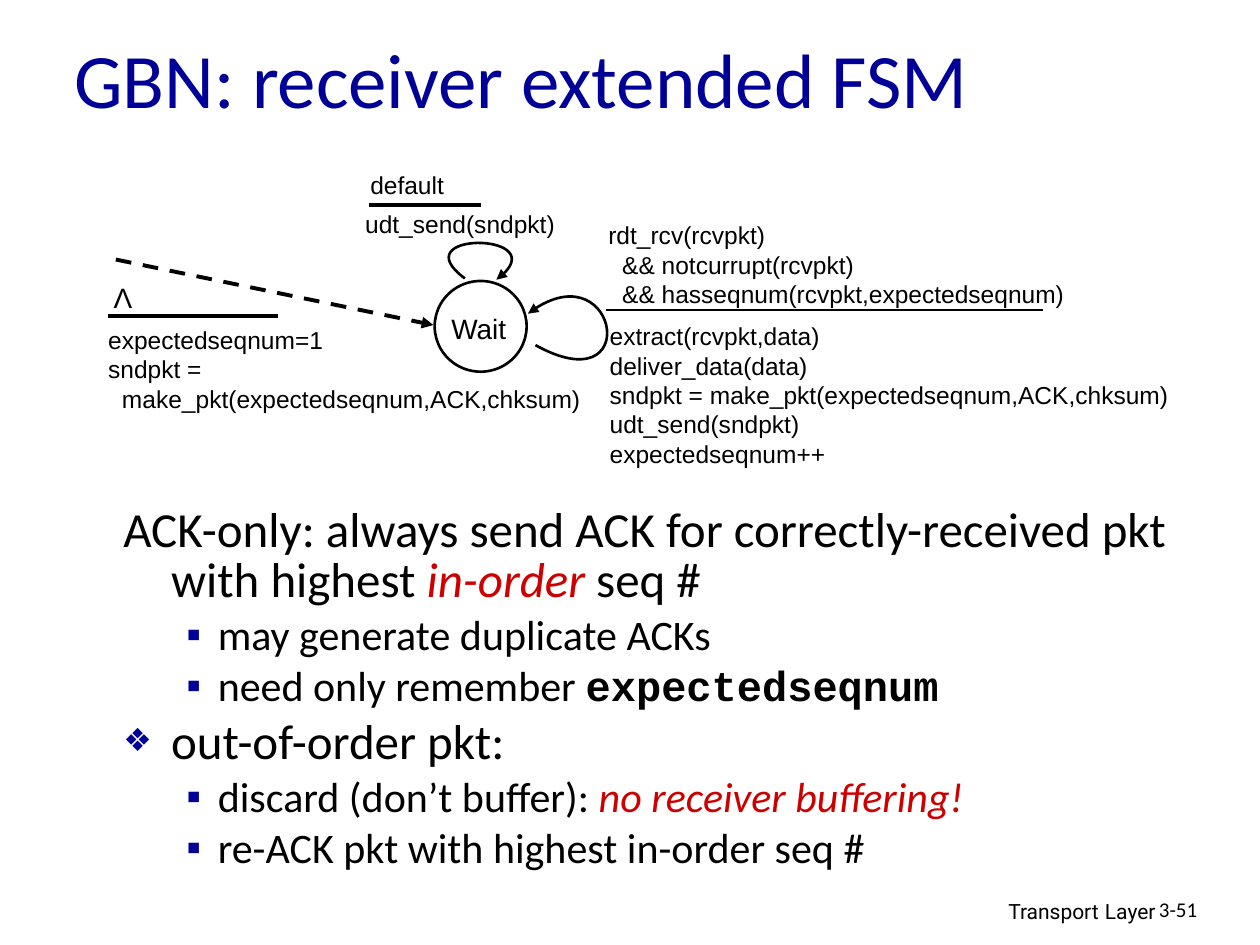
from lxml import etree
from pptx import Presentation
from pptx.dml.color import RGBColor
from pptx.enum.dml import MSO_LINE
from pptx.enum.shapes import MSO_CONNECTOR, MSO_SHAPE
from pptx.enum.text import MSO_ANCHOR, PP_ALIGN
from pptx.oxml.ns import qn
from pptx.util import Inches, Pt

COLORS = {"ink": "000000", "heading": "000099", "emphasis": "CC0000", "paper": "FFFFFF"}
BODY_FONT, CODE_FONT, LABEL_FONT, FOOTER_FONT = "Calibri", "Courier New", "Arial", "Roboto"
EMPHASIS = {"color": "emphasis", "italic": True}


def rgb(name):
    return RGBColor.from_string(COLORS[name])


def add_run(paragraph, text, size=14, font=LABEL_FONT, color="ink", bold=False, italic=False):
    run = paragraph.add_run()
    run.text = text
    run.font.size, run.font.name = Pt(size), font
    run.font.bold, run.font.italic = bold, italic
    run.font.color.rgb = rgb(color)


def add_text(slide, box, paragraphs, align=PP_ALIGN.LEFT, anchor=MSO_ANCHOR.TOP,
             wrap=True, spacing=None, **run_format):
    """Each paragraph is a list of (text, format overrides) runs; returns the paragraphs."""
    frame = slide.shapes.add_textbox(*map(Inches, box)).text_frame
    frame.word_wrap, frame.vertical_anchor = wrap, anchor
    for index, runs in enumerate(paragraphs):
        paragraph = frame.add_paragraph() if index else frame.paragraphs[0]
        paragraph.alignment, paragraph.line_spacing = align, spacing
        for text, overrides in runs:
            add_run(paragraph, text, **{**run_format, **overrides})
    return frame.paragraphs


def set_indent(paragraph, margin, hanging=0):
    properties = paragraph._p.get_or_add_pPr()
    properties.set("marL", str(Inches(margin)))
    properties.set("indent", str(Inches(-hanging)))


def set_bullet(paragraph, char, percent):
    properties = paragraph._p.get_or_add_pPr()
    color = etree.SubElement(properties, qn("a:buClr"))
    etree.SubElement(color, qn("a:srgbClr"), val=COLORS["heading"])
    etree.SubElement(properties, qn("a:buSzPct"), val=str(percent * 1000))
    etree.SubElement(properties, qn("a:buFont"), typeface=LABEL_FONT)
    etree.SubElement(properties, qn("a:buChar"), char=char)


def set_stroke(shape, weight, arrow=False, dash=None):
    shape.line.color.rgb = rgb("ink")
    shape.line.width = Pt(weight)
    if dash:
        shape.line.dash_style = dash
    if arrow:
        etree.SubElement(shape.line._get_or_add_ln(), qn("a:tailEnd"), type="triangle")


def add_line(slide, start, end, weight, **stroke):
    line = slide.shapes.add_connector(MSO_CONNECTOR.STRAIGHT, *map(Inches, (*start, *end)))
    set_stroke(line, weight, **stroke)
    etree.SubElement(line._element.spPr, qn("a:effectLst"))


def add_curved_arrow(slide, start, *controls_and_end):
    """Draw one cubic Bezier segment with an arrowhead at its end."""
    builder = slide.shapes.build_freeform(*map(Inches, start), scale=1.0)
    builder.add_line_segments([tuple(map(Inches, p)) for p in controls_and_end], close=False)
    curve = builder.convert_to_shape()
    outline = next(curve._element.iter(qn("a:path")))
    bezier = etree.Element(qn("a:cubicBezTo"))
    for segment in outline.findall(qn("a:lnTo")):
        bezier.append(segment[0])
        outline.remove(segment)
    outline.append(bezier)
    curve.fill.background()
    curve.shadow.inherit = False
    set_stroke(curve, 1.5, arrow=True)


def draw_title(slide, box):
    add_text(slide, box, [[("GBN: receiver extended FSM", {})]],
             anchor=MSO_ANCHOR.MIDDLE, size=44, font=BODY_FONT, color="heading")


def draw_transition(slide, left, top, bar_width, event, action, weight=2.25):
    """Event above a bar, action below; each is (dx, dy, width, height, lines, options)."""
    for dx, dy, width, height, lines, options in (event, action):
        paragraphs = add_text(slide, (left + dx, top + dy, width, height),
                              [[(line.removeprefix(">"), {})] for line in lines],
                              **{"spacing": Pt(16.8), **options})
        for line, paragraph in zip(lines, paragraphs):
            if line.startswith(">"):
                set_indent(paragraph, 0.11)
    add_line(slide, (left, top), (left + bar_width, top), weight)


def draw_wait_state(slide, left, top, width, height):
    """The state circle with its two self-loops and the dashed initial arrow."""
    state = slide.shapes.add_shape(MSO_SHAPE.OVAL, *map(Inches, (left, top, width, height)))
    state.fill.solid()
    state.fill.fore_color.rgb = rgb("paper")
    state.shadow.inherit = False
    set_stroke(state, 1.5)
    add_text(slide, (left - 0.09, top + 0.19, width + 0.15, 0.26), [[("Wait", {})]],
             align=PP_ALIGN.CENTER, size=16)

    def at(dx, dy):
        return left + dx, top + dy

    add_line(slide, at(-2.53, -0.17), at(-0.01, 0.35), 2.25, arrow=True, dash=MSO_LINE.DASH)
    add_curved_arrow(slide, at(0.8, 0.51), at(1.65, 0.98), at(1.45, -0.28), at(0.74, 0.26))
    add_curved_arrow(slide, at(0.24, -0.02), at(-0.26, -0.39), at(1, -0.39), at(0.49, -0.01))


def draw_fsm(slide, left, top):
    draw_wait_state(slide, left + 2.65, top + 0.93, 0.73, 0.72)
    draw_transition(
        slide, left + 2.13, top + 0.33, 0.89,
        event=(-0.09, -0.33, 0.79, 0.27, ["default"], {}),
        action=(-0.13, -0.02, 1.77, 0.34, ["udt_send(sndpkt)"], {}))
    draw_transition(
        slide, left + 4.01, top + 1.16, 3.47, weight=1.5,
        event=(-0.08, -0.76, 3.9, 0.62,
               ["rdt_rcv(rcvpkt)", ">&& notcurrupt(rcvpkt)",
                ">&& hasseqnum(rcvpkt,expectedseqnum)"], {}),
        action=(-0.07, 0.04, 4.72, 0.94,
                ["extract(rcvpkt,data)", "deliver_data(data)",
                 "sndpkt = make_pkt(expectedseqnum,ACK,chksum)",
                 "udt_send(sndpkt)", "expectedseqnum++"], {}))
    draw_transition(
        slide, left + 0.06, top + 1.21, 1.35,
        event=(-0.06, -0.33, 0.35, 0.37, ["Λ"],
               {"size": 16, "spacing": None, "wrap": False, "align": PP_ALIGN.CENTER}),
        action=(-0.1, 0.02, 3.98, 1.07,
                ["expectedseqnum=1", "sndpkt =",
                 ">make_pkt(expectedseqnum,ACK,chksum)"], {}))


def draw_notes_on_acks(slide, box):
    points = [
        (0, None, [("ACK-only: always send ACK for correctly-received pkt with highest ", {}),
                   ("in-order", EMPHASIS), (" seq #", {})]),
        (1, "▪", [("may generate duplicate ACKs", {})]),
        (1, "▪", [("need only remember ", {}),
                  ("expectedseqnum", {"font": CODE_FONT, "bold": True})]),
        (0, "❖", [("out-of-order pkt:", {})]),
        (1, "▪", [("discard (don’t buffer): ", {}), ("no receiver buffering!", EMPHASIS)]),
        (1, "▪", [("re-ACK pkt with highest in-order seq #", {})]),
    ]
    sizes = (28, 24)
    indents = ((0.38, 0.38), (0.75, 0.25))
    bullet_percents = (65, 100)
    sized_runs = [[(text, {"size": sizes[level], **overrides}) for text, overrides in runs]
                  for level, _, runs in points]
    paragraphs = add_text(slide, box, sized_runs, font=BODY_FONT, spacing=0.85)
    for paragraph, (level, bullet, _) in zip(paragraphs, points):
        paragraph.level = level
        paragraph.space_before = Pt(0.2 * sizes[level])
        set_indent(paragraph, *indents[level])
        if bullet:
            set_bullet(paragraph, bullet, bullet_percents[level])


def draw_footer(slide, left, top):
    add_text(slide, (left, top, 3.17, 0.31),
             [[("Transport", {}), (" ", {"size": 14}), ("Layer", {})]],
             align=PP_ALIGN.RIGHT, size=12, font=FOOTER_FONT)
    add_text(slide, (left + 3, top + 0.02, 0.74, 0.3), [[("3-51", {})]],
             size=12, font=BODY_FONT)


def main():
    deck = Presentation()
    deck.slide_width, deck.slide_height = Inches(10), Inches(7.5)
    slide = deck.slides.add_slide(deck.slide_layouts[6])
    draw_footer(slide, 6.1, 7.05)
    draw_notes_on_acks(slide, (0.88, 3.98, 8.91, 3.12))
    draw_fsm(slide, 0.8, 1.3)
    draw_title(slide, (0.49, 0.23, 8.5, 0.77))
    deck.save("out.pptx")


if __name__ == "__main__":
    main()
